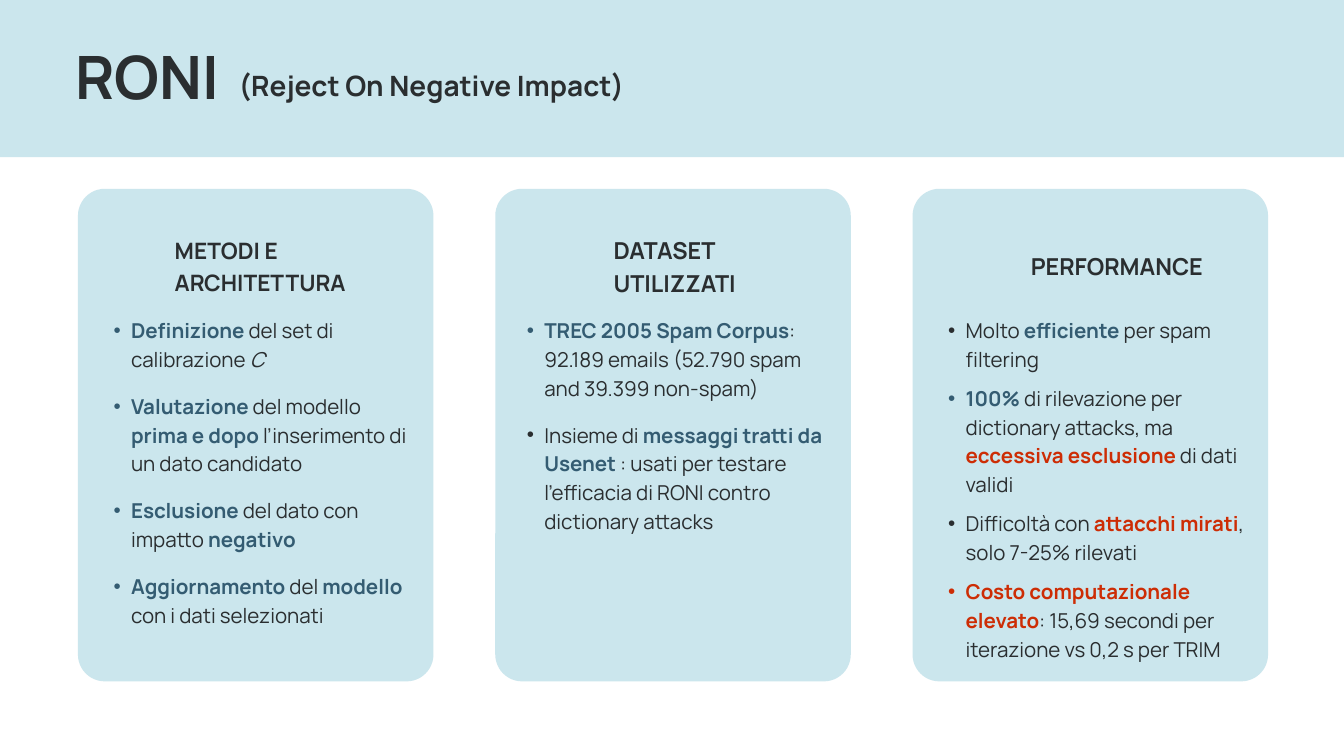
from dataclasses import dataclass

from lxml.etree import SubElement
from pptx import Presentation
from pptx.dml.color import RGBColor
from pptx.enum.shapes import MSO_SHAPE
from pptx.enum.text import MSO_ANCHOR, MSO_AUTO_SIZE, PP_ALIGN
from pptx.oxml.ns import qn
from pptx.util import Inches, Pt


@dataclass(frozen=True)
class Theme:
    font: str = "Manrope"
    panel: str = "7EC1D2"
    panel_opacity: int = 40
    ink: str = "2A2E30"
    accent: str = "345C72"
    alert: str = "CD2D05"
    title: float = 64
    subtitle: float = 30
    heading: float = 25
    body: float = 22


@dataclass(frozen=True)
class Column:
    """One card; insets are measured from the card's left edge."""
    heading: tuple
    heading_inset: float
    heading_top: float
    heading_size: float
    list_inset: float
    list_width: float
    gap: float
    items: tuple


THEME = Theme()
WIDTH, HEIGHT = 20, 11.25
BAND_HEIGHT = 2.34
CARD_LEFT, CARD_TOP, CARD_STEP = 1.16, 2.81, 6.21
CARD_WIDTH, CARD_HEIGHT, CARD_RADIUS = 5.29, 7.33, 0.4
LIST_TOP, LIST_HEIGHT = 4.67, 5.1
INDENT = 0.26
COLOURS = {"plain": THEME.ink, "italic": THEME.ink,
           "key": THEME.accent, "alert": THEME.alert}

# Each item alternates style and words.
COLUMNS = (
    Column(("METODI E ARCHITETTURA",), 1.44, 3.46, 24.2, 0.27, 4.75, 19.6, (
        (("key", "Definizione "), ("plain", "del set di calibrazione "), ("italic", "C")),
        (("key", "Valutazione "), ("plain", "del modello "), ("key", "prima e dopo"),
         ("plain", " l’inserimento di un dato candidato")),
        (("key", "Esclusione "), ("plain", "del dato con impatto "), ("key", "negativo")),
        (("key", "Aggiornamento "), ("plain", "del "), ("key", "modello "),
         ("plain", "con i dati selezionati")),
    )),
    Column(("DATASET", "UTILIZZATI"), 1.76, 3.45, THEME.heading, 0.21, 4.88, 19.6, (
        (("key", "TREC 2005 Spam Corpus"),
         ("plain", ": 92.189 emails (52.790 spam and 39.399 non-spam)")),
        (("plain", "Insieme di "), ("key", "messaggi tratti da Usenet"),
         ("plain", " : usati per testare l’efficacia di RONI contro dictionary attacks")),
    )),
    Column(("PERFORMANCE",), 1.76, 3.69, THEME.heading, 0.27, 4.77, 11.2, (
        (("plain", "Molto "), ("key", "efficiente "), ("plain", "per spam filtering")),
        (("key", "100%"), ("plain", " di rilevazione per dictionary attacks, ma "),
         ("alert", "eccessiva esclusione"), ("plain", " di dati validi")),
        (("plain", "Difficoltà con "), ("alert", "attacchi mirati"),
         ("plain", ", solo 7-25% rilevati")),
        (("alert", "Costo computazionale elevato"),
         ("plain", ": 15,69 secondi per iterazione vs 0,2 s per TRIM")),
    )),
)


def add_panel(page, kind, left, top, width, height):
    """Add a translucent panel behind all text."""
    panel = page.shapes.add_shape(
        kind, Inches(left), Inches(top), Inches(width), Inches(height))
    panel.shadow.inherit = False
    panel.line.fill.background()
    panel.fill.solid()
    panel.fill.fore_color.rgb = RGBColor.from_string(THEME.panel)
    colour = panel.element.spPr.find(qn("a:solidFill"))[0]
    SubElement(colour, qn("a:alpha"), val=str(THEME.panel_opacity * 1000))
    panel.element.getparent().insert(2, panel.element)
    return panel


def place(box, left, top, width, height):
    box.left, box.top = Inches(left), Inches(top)
    box.width, box.height = Inches(width), Inches(height)
    frame = box.text_frame
    frame.margin_left = frame.margin_right = frame.margin_top = frame.margin_bottom = 0
    frame.vertical_anchor = MSO_ANCHOR.TOP
    frame.auto_size = MSO_AUTO_SIZE.NONE
    frame.word_wrap = True
    return frame


def style(paragraph, size, spacing, bold=None, colour=None):
    paragraph.alignment = PP_ALIGN.LEFT
    paragraph.line_spacing = Pt(spacing)
    paragraph.font.name = THEME.font
    paragraph.font.size = Pt(size)
    if bold is not None:
        paragraph.font.bold = bold
    if colour:
        paragraph.font.color.rgb = RGBColor.from_string(colour)


def write_lines(frame, lines, size, spacing):
    for number, line in enumerate(lines):
        paragraph = frame.add_paragraph() if number else frame.paragraphs[0]
        paragraph.text = line
        style(paragraph, size, spacing, True, THEME.ink)


def add_bullet(paragraph, colour):
    properties = paragraph._p.get_or_add_pPr()
    properties.set("marL", str(Inches(2 * INDENT)))
    properties.set("indent", str(-Inches(INDENT)))
    SubElement(SubElement(properties, qn("a:buClr")), qn("a:srgbClr"), val=colour)
    SubElement(properties, qn("a:buFont"), typeface="Arial")
    SubElement(properties, qn("a:buChar"), char="•")


def write_list(frame, items, gap):
    for number, item in enumerate(items):
        paragraph = frame.add_paragraph() if number else frame.paragraphs[0]
        add_bullet(paragraph, COLOURS[item[0][0]])
        paragraph.space_before = Pt(gap if number else 0)
        style(paragraph, THEME.body, 30.8)
        for role, words in item:
            span = paragraph.add_run()
            span.text = words
            span.font.bold = role in ("key", "alert")
            span.font.italic = role == "italic"
            span.font.color.rgb = RGBColor.from_string(COLOURS[role])


def add_text(page, lines, size, spacing, left, top, width, height):
    box = page.shapes.add_textbox(0, 0, 0, 0)
    write_lines(place(box, left, top, width, height), lines, size, spacing)


def add_column(page, column, left, body):
    card = add_panel(page, MSO_SHAPE.ROUNDED_RECTANGLE,
                     left, CARD_TOP, CARD_WIDTH, CARD_HEIGHT)
    card.adjustments[0] = CARD_RADIUS / CARD_WIDTH
    add_text(page, column.heading, column.heading_size, 1.4 * column.heading_size,
             left + column.heading_inset, column.heading_top,
             CARD_WIDTH - column.heading_inset, 0.96)
    frame = place(body, left + column.list_inset, LIST_TOP,
                  column.list_width, LIST_HEIGHT)
    write_list(frame, column.items, column.gap)


def main():
    deck = Presentation()
    deck.slide_width, deck.slide_height = Inches(WIDTH), Inches(HEIGHT)
    page = deck.slides.add_slide(deck.slide_layouts.get_by_name("Comparison"))
    title, *bodies = page.placeholders

    add_panel(page, MSO_SHAPE.RECTANGLE, 0, 0, WIDTH, BAND_HEIGHT)
    write_lines(place(title, 1.12, 0.59, 16.91, 1.11), ["RONI"], THEME.title, 76.8)
    add_text(page, ["(Reject On Negative Impact)"], THEME.subtitle, 36,
             3.55, 1.02, 7.36, 0.51)

    for number, (column, body) in enumerate(zip(COLUMNS, bodies)):
        add_column(page, column, CARD_LEFT + number * CARD_STEP, body)
    for spare in bodies[len(COLUMNS):]:
        spare.element.getparent().remove(spare.element)

    deck.save("out.pptx")


if __name__ == "__main__":
    main()
